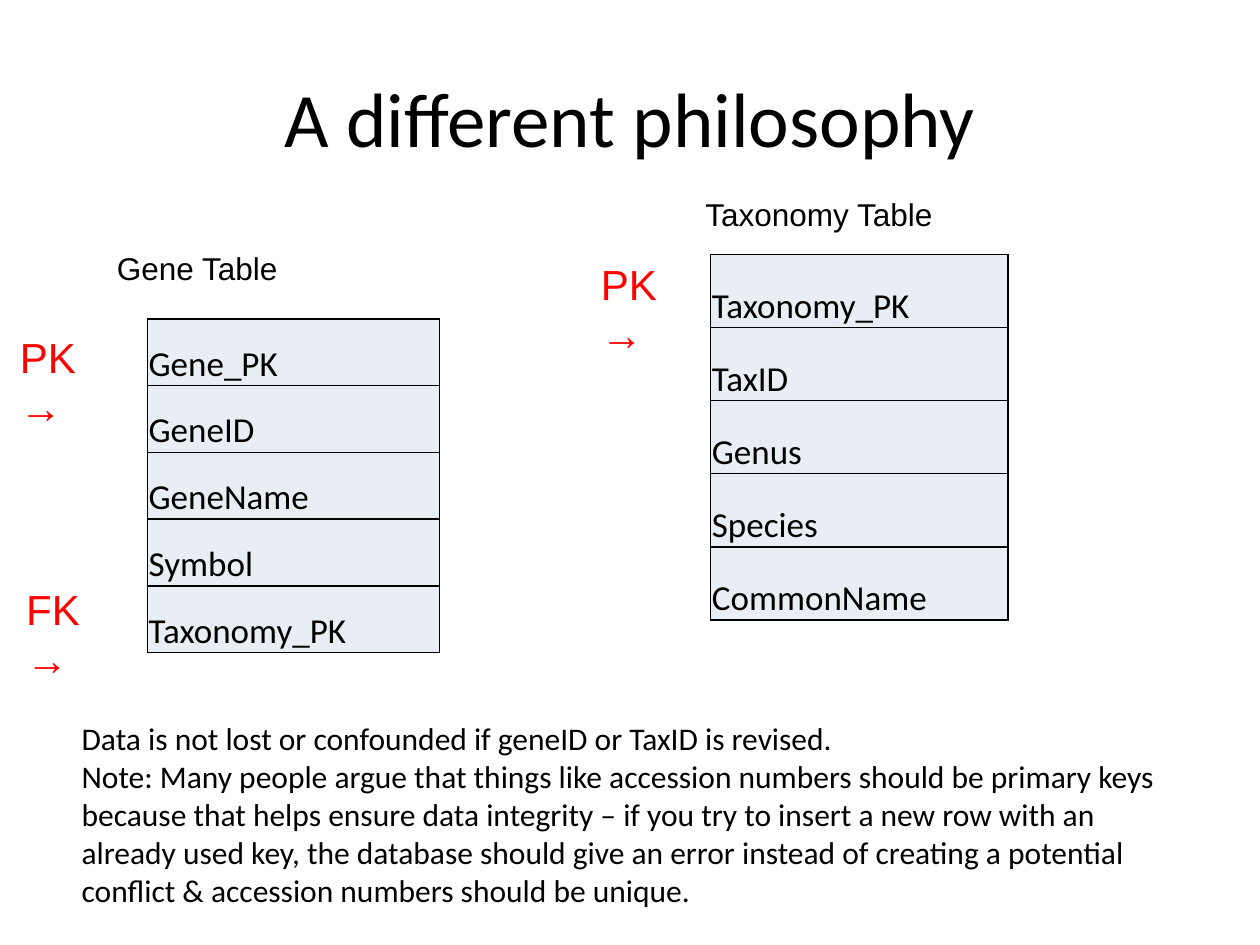
from dataclasses import dataclass

from lxml.etree import SubElement
from pptx import Presentation
from pptx.dml.color import RGBColor
from pptx.enum.text import MSO_ANCHOR, PP_ALIGN
from pptx.oxml.ns import qn
from pptx.slide import Slide
from pptx.util import Inches, Pt

BLACK = "000000"
RED = "FF0000"
CELL_FILL = "E9EDF4"


@dataclass
class Label:
    lines: list[str]
    left: float
    top: float
    width: float
    height: float
    size: int
    font: str = "Arial"
    color: str = BLACK
    wrap: bool = True


@dataclass
class FieldTable:
    fields: list[str]
    left: float
    top: float
    width: float
    row_height: float


def rgb(color: str) -> RGBColor:
    return RGBColor.from_string(color)


def format_paragraph(paragraph, size: int, font: str, color: str) -> None:
    paragraph.font.size = Pt(size)
    paragraph.font.name = font
    paragraph.font.color.rgb = rgb(color)


def draw_title(slide: Slide, text: str) -> None:
    title = slide.shapes.title
    title.left, title.top = Inches(0.5), Inches(0.3)
    title.width, title.height = Inches(9), Inches(1.25)
    title.text_frame.text = text
    title.text_frame.vertical_anchor = MSO_ANCHOR.MIDDLE
    paragraph = title.text_frame.paragraphs[0]
    paragraph.alignment = PP_ALIGN.CENTER
    format_paragraph(paragraph, 44, "Calibri", BLACK)


def draw_label(slide: Slide, label: Label) -> None:
    shape = slide.shapes.add_textbox(
        Inches(label.left), Inches(label.top), Inches(label.width), Inches(label.height)
    )
    frame = shape.text_frame
    frame.word_wrap = label.wrap
    frame.text = "\n".join(label.lines)
    for paragraph in frame.paragraphs:
        format_paragraph(paragraph, label.size, label.font, label.color)


def add_borders(cell, color: str) -> None:
    properties = cell._tc.get_or_add_tcPr()
    for index, side in enumerate(("lnL", "lnR", "lnT", "lnB")):
        line = SubElement(properties, qn(f"a:{side}"), w=str(Pt(1)))
        fill = SubElement(line, qn("a:solidFill"))
        SubElement(fill, qn("a:srgbClr"), val=color)
        properties.remove(line)
        properties.insert(index, line)


def draw_table(slide: Slide, field_table: FieldTable) -> None:
    count = len(field_table.fields)
    table = slide.shapes.add_table(
        count, 1,
        Inches(field_table.left), Inches(field_table.top),
        Inches(field_table.width), Inches(field_table.row_height * count),
    ).table
    table.first_row = False
    table.horz_banding = False
    for row, field in zip(table.rows, field_table.fields):
        row.height = Inches(field_table.row_height)
        cell = row.cells[0]
        cell.text = field
        cell.vertical_anchor = MSO_ANCHOR.BOTTOM
        cell.margin_left = cell.margin_right = cell.margin_top = Inches(0.01)
        cell.margin_bottom = 0
        cell.fill.solid()
        cell.fill.fore_color.rgb = rgb(CELL_FILL)
        format_paragraph(cell.text_frame.paragraphs[0], 20, "Calibri", BLACK)
        add_borders(cell, BLACK)


KEY_LABELS = [
    Label([text], left, top, 0.95, 0.5, 24, color=RED)
    for text, left, top in [("PK→", 0.06, 2.58), ("PK→", 4.67, 2), ("FK→", 0.11, 4.58)]
]
TABLE_LABELS = [
    Label(["Gene Table"], 0.83, 1.93, 1.49, 0.4, 18, wrap=False),
    Label(["Taxonomy Table"], 5.5, 1.5, 2.02, 0.4, 18, wrap=False),
]
NOTE = Label(
    [
        "Data is not lost or confounded if geneID or TaxID is revised.",
        "Note: Many people argue that things like accession numbers should be primary keys "
        "because that helps ensure data integrity – if you try to insert a new row with an "
        "already used key, the database should give an error instead of creating a potential "
        "conflict & accession numbers should be unique.",
    ],
    0.55, 5.66, 9, 1.92, 18, font="Calibri",
)
TABLES = [
    FieldTable(["Gene_PK", "GeneID", "GeneName", "Symbol", "Taxonomy_PK"], 1.17, 2.53, 2.32, 0.53),
    FieldTable(["Taxonomy_PK", "TaxID", "Genus", "Species", "CommonName"], 5.64, 2.02, 2.36, 0.58),
]


def main() -> None:
    presentation = Presentation()
    presentation.slide_width = Inches(10)
    presentation.slide_height = Inches(7.5)
    slide = presentation.slides.add_slide(presentation.slide_layouts[5])
    draw_title(slide, "A different philosophy")
    for label in KEY_LABELS + TABLE_LABELS:
        draw_label(slide, label)
    for field_table in TABLES:
        draw_table(slide, field_table)
    draw_label(slide, NOTE)
    presentation.save("out.pptx")


if __name__ == "__main__":
    main()
